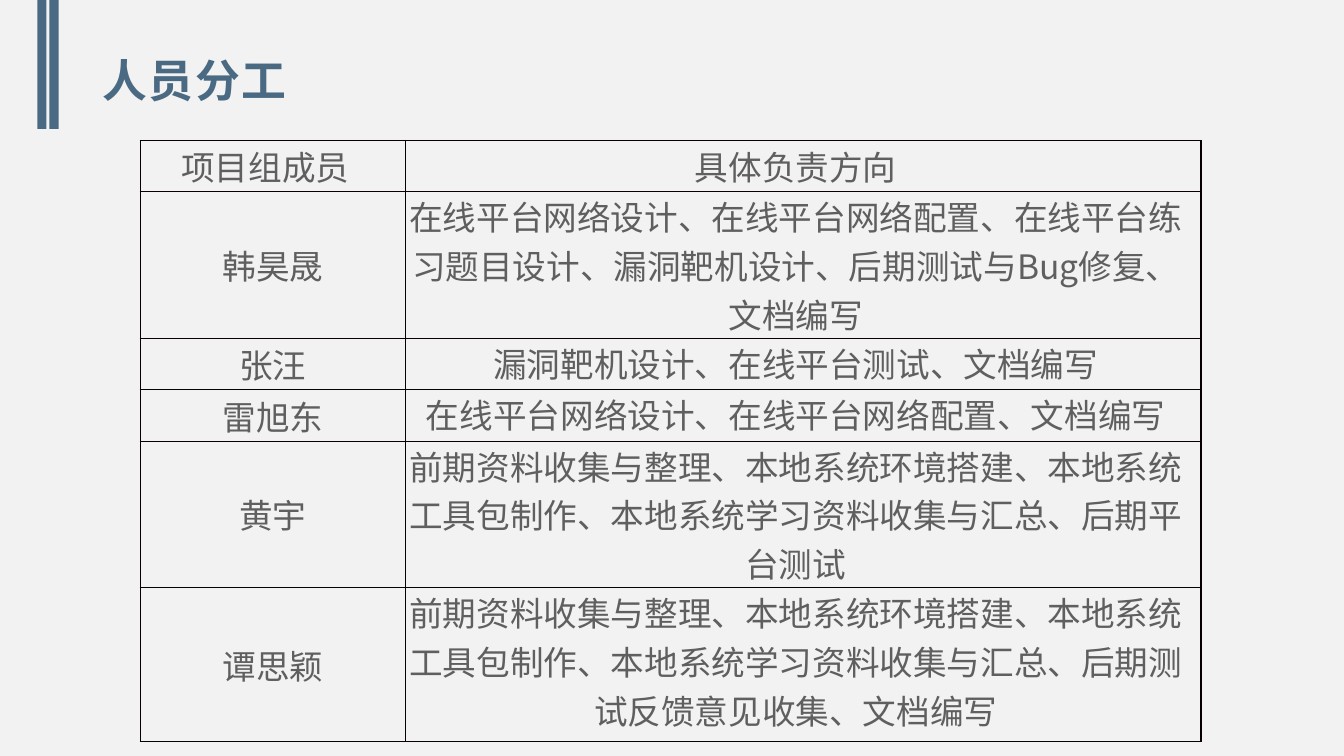
import pptx
import pptx.util
import pptx.dml.color
import pptx.enum.lang
import pptx.enum.shapes
import pptx.enum.text
import pptx.oxml
import pptx.oxml.ns

BLUE = pptx.dml.color.RGBColor(0x4A, 0x69, 0x82)
GRAY = pptx.dml.color.RGBColor(0x5F, 0x5F, 0x5F)
PAPER = pptx.dml.color.RGBColor(0xF2, 0xF2, 0xF2)
BORDER = pptx.dml.color.RGBColor(0x08, 0x00, 0x00)
CJK = "Noto Sans CJK SC"
CENTER = pptx.enum.text.PP_ALIGN.CENTER
MIDDLE = pptx.enum.text.MSO_ANCHOR.MIDDLE
TOP = pptx.enum.text.MSO_ANCHOR.TOP

MEMBERS = [
    ("项目组成员", "具体负责方向"),
    ("韩昊晟", "在线平台网络设计、在线平台网络配置、在线平台练习题目设计、漏洞靶机设计、后期测试与Bug修复、文档编写"),
    ("张汪", "漏洞靶机设计、在线平台测试、文档编写"),
    ("雷旭东", "在线平台网络设计、在线平台网络配置、文档编写"),
    ("黄宇", "前期资料收集与整理、本地系统环境搭建、本地系统工具包制作、本地系统学习资料收集与汇总、后期平台测试"),
    ("谭思颖", "前期资料收集与整理、本地系统环境搭建、本地系统工具包制作、本地系统学习资料收集与汇总、后期测试反馈意见收集、文档编写"),
]
ROW_UNITS = [1, 2.85, 1, 1, 2.85, 3]

prs = pptx.Presentation()
prs.slide_width = pptx.util.Inches(13.33)
prs.slide_height = pptx.util.Inches(7.5)
px = prs.slide_width / 100
py = prs.slide_height / 100


def write(tf, text, size=24, font=CJK, color=GRAY, bold=False, align=None, spacing=0, line=None):
    p = tf.paragraphs[0]
    p.alignment = align
    p.line_spacing = line
    r = p.add_run()
    r.text = text
    r.font.size = pptx.util.Pt(size)
    r.font.name = font
    r.font.bold = bold
    r.font.color.rgb = color
    r.font.language_id = pptx.enum.lang.MSO_LANGUAGE_ID.SIMPLIFIED_CHINESE
    rPr = r.font._element
    if spacing:
        rPr.set("spc", str(spacing * 100))
    ea = pptx.oxml.parse_xml(f'<a:ea {pptx.oxml.ns.nsdecls("a")} typeface="{CJK}"/>')
    rPr.find(pptx.oxml.ns.qn("a:latin")).addnext(ea)


s = prs.slides.add_slide(prs.slide_layouts[6])
s.background.fill.solid()
s.background.fill.fore_color.rgb = PAPER

for left in (3.08, 3.98, 2.78, 3.68):
    sp = s.shapes.add_shape(pptx.enum.shapes.MSO_SHAPE.RECTANGLE,
                            int(left * px), 0, int(0.38 * px), int(17.07 * py))
    sp.shadow.inherit = False
    sp.fill.solid()
    sp.fill.fore_color.rgb = BLUE
    sp.line.fill.background()

sp = s.shapes.add_textbox(int(6.9 * px), int(5.73 * py), int(86.27 * px), int(10.53 * py))
tf = sp.text_frame
tf.word_wrap = True
tf.vertical_anchor = MIDDLE
write(tf, "人员分工", size=32, font="Arial", color=BLUE, bold=True, spacing=1, line=0.9)

col, row = 19.73 * px, 6.8 * py
table = s.shapes.add_table(len(MEMBERS), 2, int(10.44 * px), int(18.58 * py),
                           int(4 * col), int(sum(ROW_UNITS) * row)).table
table.first_row = False
table.horz_banding = False
for j, units in enumerate((1, 3)):
    table.columns[j].width = int(units * col)

for i, member in enumerate(MEMBERS):
    table.rows[i].height = int(ROW_UNITS[i] * row)
    for j, text in enumerate(member):
        cell = table.cell(i, j)
        cell.margin_left = cell.margin_top = cell.margin_bottom = 0
        cell.margin_right = pptx.util.Inches(0.15 if i == 0 or j == 1 else 0)
        cell.vertical_anchor = MIDDLE if i == 0 or j == 0 else TOP
        cell.fill.background()
        write(cell.text_frame, text, align=CENTER)
        tcPr = cell._tc.get_or_add_tcPr()
        for k, side in enumerate("LRTB"):
            tcPr.insert(k, pptx.oxml.parse_xml(
                f'<a:ln{side} {pptx.oxml.ns.nsdecls("a")} w="{pptx.util.Pt(1)}"><a:solidFill>'
                f'<a:srgbClr val="{BORDER}"/></a:solidFill></a:ln{side}>'))

prs.save("out.pptx")
